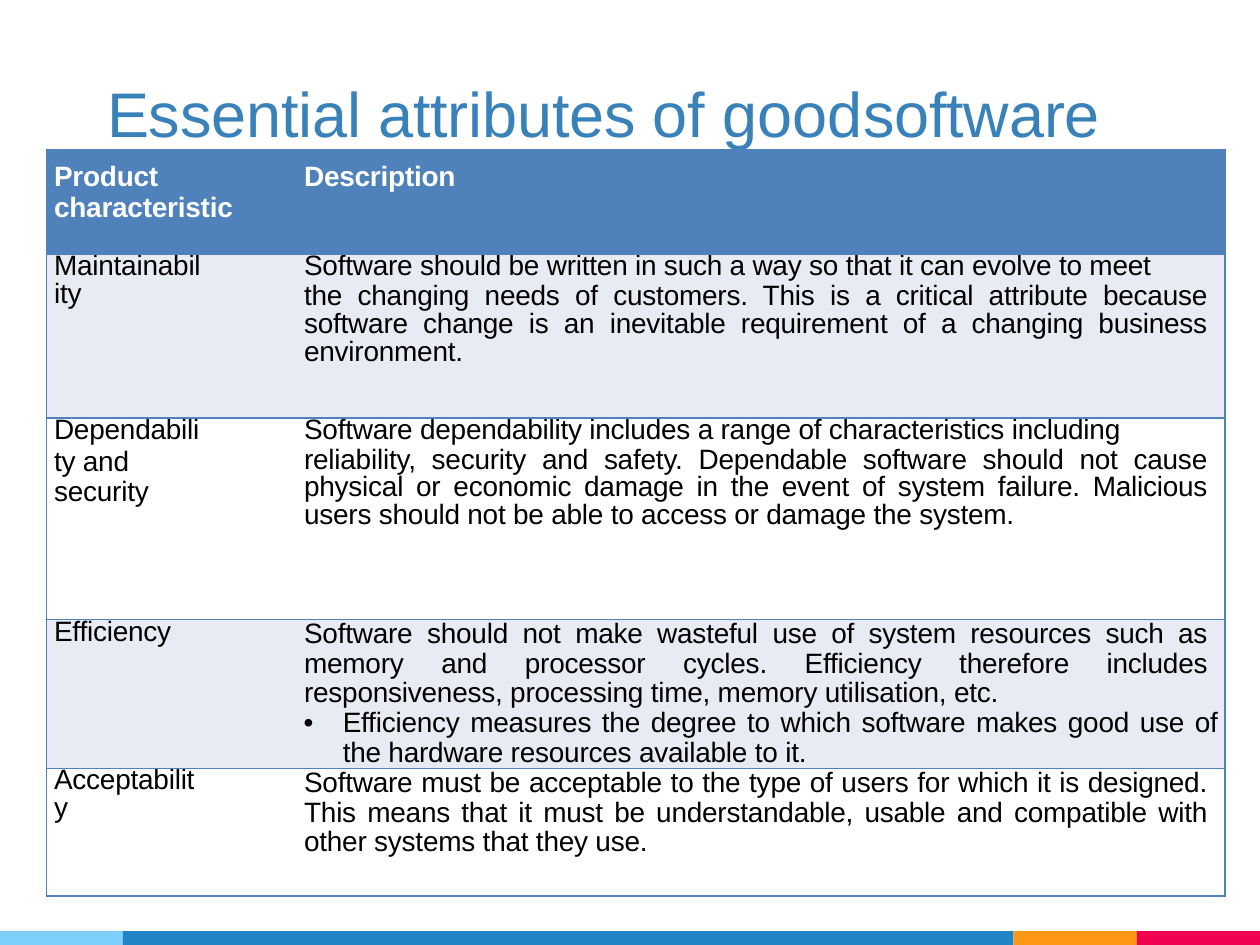
"""Build the slide on the essential attributes of good software."""
from dataclasses import dataclass

from lxml.etree import SubElement
from pptx import Presentation
from pptx.dml.color import RGBColor
from pptx.enum.shapes import MSO_SHAPE
from pptx.enum.text import MSO_ANCHOR, PP_ALIGN
from pptx.oxml.ns import qn
from pptx.util import Cm, Pt


@dataclass(frozen=True)
class Theme:
    font: str = "Arial"
    title_size: float = 36
    body_size: float = 16
    title: str = "3981B9"
    grid: str = "4F81BB"
    band: str = "E9EBF4"
    text: str = "000000"
    header_text: str = "FFFFFF"
    stripe: tuple = ("7DCEFC", "2085C5", "FF9615", "F10152")


theme = Theme()
NO_STYLE = "{2D5ABB26-0587-4C30-8999-92F81FD0307C}"


def format_text(p, size, color, bold=False):
    for r in p.runs:
        r.font.name = theme.font
        r.font.size = Pt(size)
        r.font.bold = bold
        r.font.color.rgb = RGBColor.from_string(color)
        r.font._element.set("spc", "-10")


def set_indent(p, left, right=0, first=0):
    pPr = p._p.get_or_add_pPr()
    for name, value in (("marL", left), ("marR", right), ("indent", first)):
        pPr.set(name, str(Cm(value)))
    return pPr


prs = Presentation()
prs.slide_width, prs.slide_height = Cm(25.4), Cm(19.05)
s = prs.slides.add_slide(prs.slide_layouts[6])

stripe_edges = (0, 2.48, 20.43, 22.92, 25.4)
for left, right, color in zip(stripe_edges, stripe_edges[1:], theme.stripe):
    sp = s.shapes.add_shape(MSO_SHAPE.RECTANGLE, Cm(left), Cm(18.77), Cm(right - left), Cm(0.28))
    sp.shadow.inherit = False
    sp.fill.solid()
    sp.fill.fore_color.rgb = RGBColor.from_string(color)
    sp.line.fill.background()

tf = s.shapes.add_textbox(Cm(2.13), Cm(1.42), Cm(20.73), Cm(1.6)).text_frame
tf.word_wrap = True
tf.vertical_anchor = MSO_ANCHOR.BOTTOM
tf.margin_left = tf.margin_top = tf.margin_right = tf.margin_bottom = 0
p = tf.paragraphs[0]
p.text = "Essential attributes of good\tsoftware"
tabs = SubElement(set_indent(p, 0.03), qn("a:tabLst"))
SubElement(tabs, qn("a:tab"), pos=str(Cm(15.9)), algn="l")
format_text(p, theme.title_size, theme.title)

# Each paragraph: text, line spacing, space before in points.
rows = [
    (2.11, [("Product characteristic", 1.0, 0)], [("Description", 1.0, 0)]),
    (3.3, [("Maintainability", Pt(15.6), 0)], [
        ("Software should be written in such a way so that it can evolve to meet", Pt(15.6), 0),
        ("the changing needs of customers. This is a critical attribute because software change "
         "is an inevitable requirement of a changing business environment.", 0.89, 1.1)]),
    (4.06, [("Dependabili", Pt(15.7), 0), ("ty and security", Pt(17), 1.3)], [
        ("Software dependability includes a range of characteristics including", Pt(15.7), 0),
        ("reliability, security and safety. Dependable software should not cause physical or "
         "economic damage in the event of system failure. Malicious users should not be able "
         "to access or damage the system.", 0.88, 1.1)]),
    (3, [("Efficiency", Pt(15.7), 0)], [
        ("Software should not make wasteful use of system resources such as memory and processor "
         "cycles. Efficiency therefore includes responsiveness, processing time, memory "
         "utilisation, etc.", Pt(17), 0),
        ("Efficiency measures the degree to which software makes good use of the hardware "
         "resources available to it.", Pt(17), 0)]),
    (2.57, [("Acceptability", Pt(15.7), 0)], [
        ("Software must be acceptable to the type of users for which it is designed. This means "
         "that it must be understandable, usable and compatible with other systems that they "
         "use.", Pt(17), 0)]),
]

table = s.shapes.add_table(len(rows), 2, Cm(0.94), Cm(3.02), Cm(23.75), Cm(15.04)).table
table._tbl.tblPr[0].text = NO_STYLE
table.horz_banding = False
table.columns[0].width, table.columns[1].width = Cm(4.5), Cm(19.25)

for i, (height, *contents) in enumerate(rows):
    table.rows[i].height = Cm(height)
    header = i == 0
    for j, paragraphs in enumerate(contents):
        cell = table.cell(i, j)
        cell.margin_left = cell.margin_right = cell.margin_bottom = 0
        cell.margin_top = Cm(0.23 if header else 0)
        for side in (("lnL", "lnR")[j], "lnT", "lnB"):
            ln = SubElement(cell._tc.get_or_add_tcPr(), qn(f"a:{side}"), w=str(Pt(1)))
            fill = SubElement(ln, qn("a:solidFill"))
            SubElement(fill, qn("a:srgbClr"), val=theme.grid)
        if header or i % 2:
            cell.fill.solid()
            cell.fill.fore_color.rgb = RGBColor.from_string(theme.grid if header else theme.band)
        else:
            cell.fill.background()
        tf = cell.text_frame
        for k, (text, spacing, before) in enumerate(paragraphs):
            p = tf.add_paragraph() if k else tf.paragraphs[0]
            p.text = text
            if text.startswith("Efficiency measures"):
                pPr = set_indent(p, 1.47, 0.12, -0.79)
                SubElement(pPr, qn("a:buFont"), typeface=theme.font)
                SubElement(pPr, qn("a:buChar"), char="•")
            else:
                set_indent(p, (0.15, 0.69)[j], (0.15 if header else 1.3, 0.33)[j])
            p.alignment = PP_ALIGN.JUSTIFY if j and not header else PP_ALIGN.LEFT
            p.line_spacing = spacing
            if before:
                p.space_before = Pt(before)
            format_text(p, theme.body_size, theme.header_text if header else theme.text, header)

prs.save("out.pptx")
